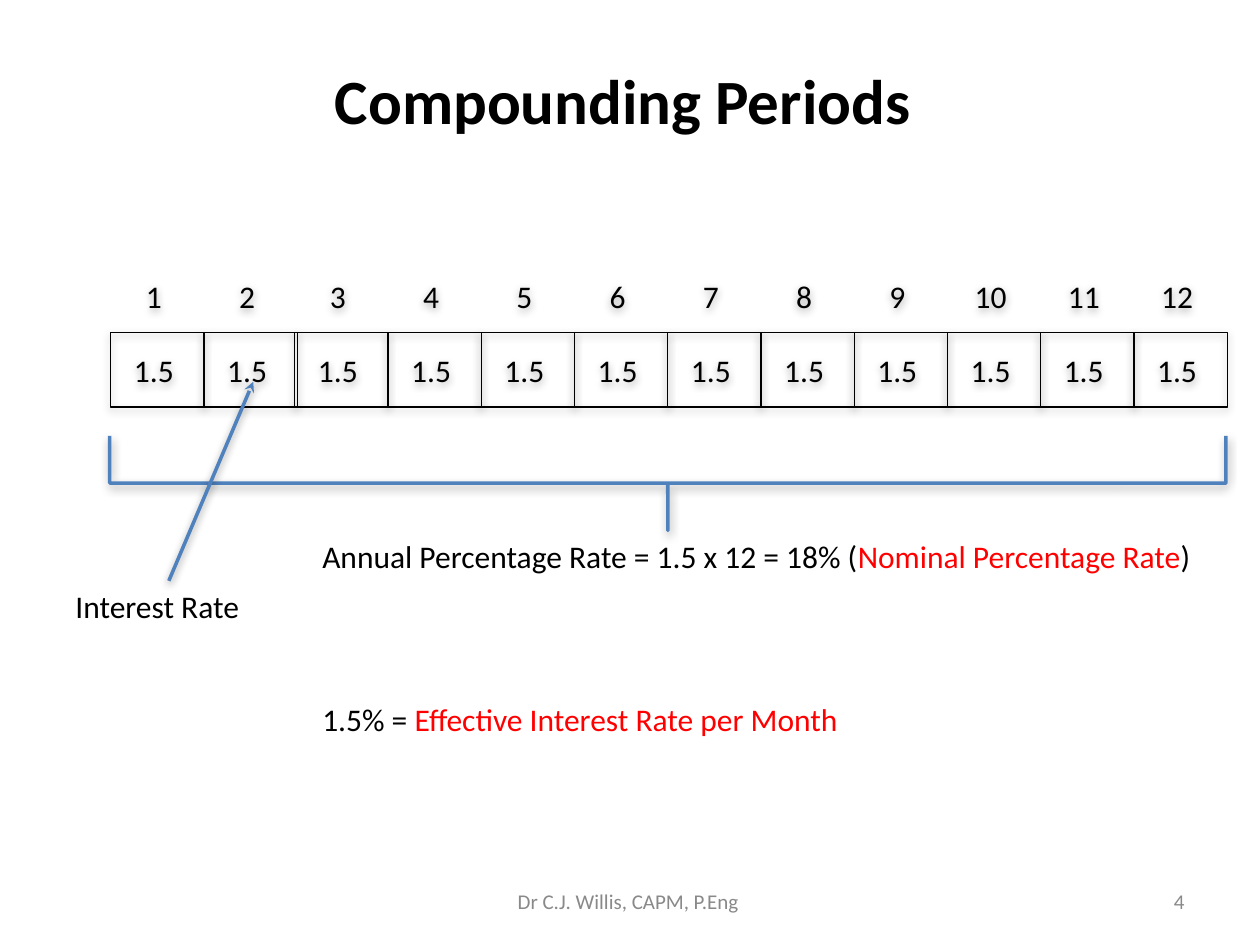
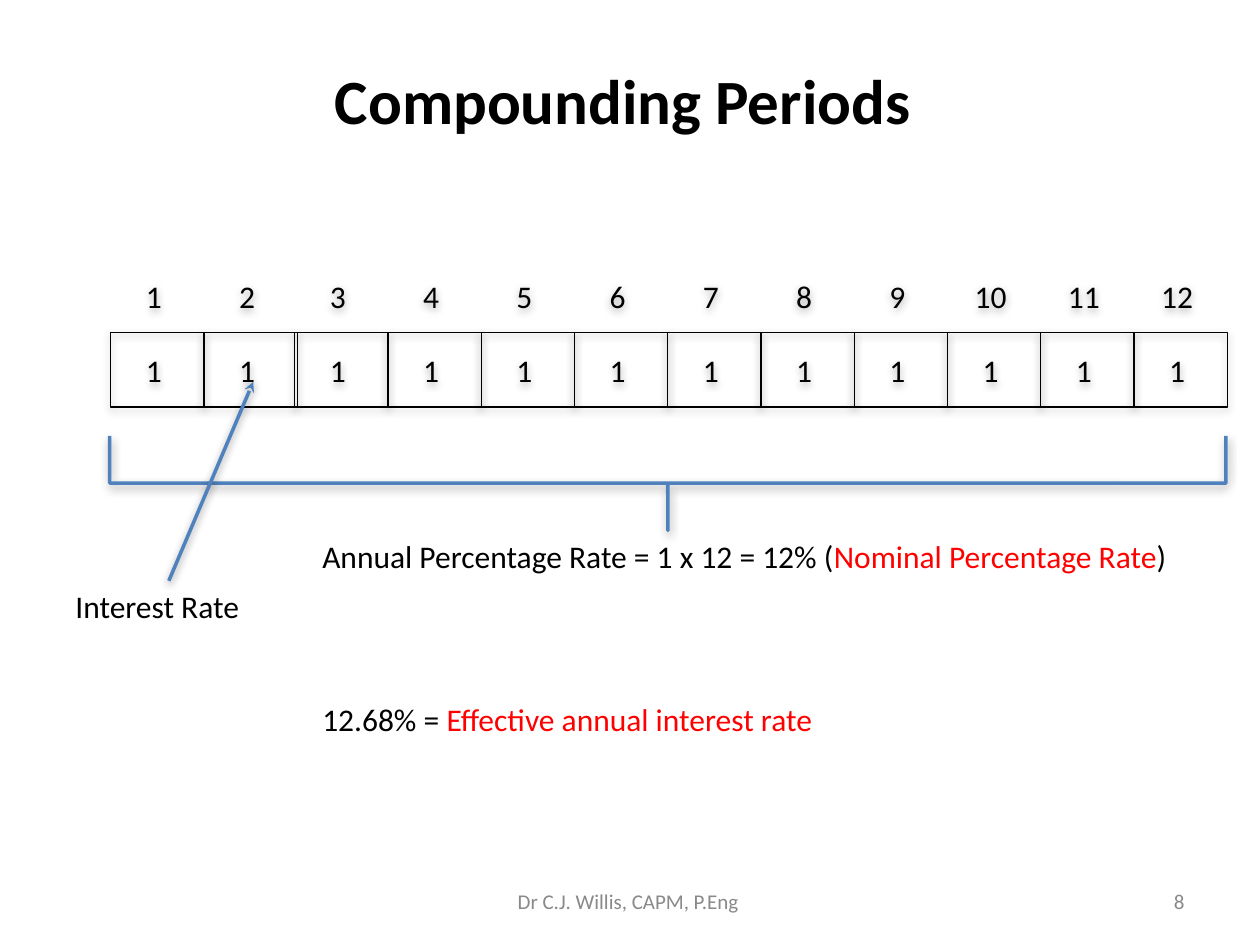
import pptx
import pptx.util
import pptx.dml.color
import pptx.enum.dml
import pptx.enum.shapes
import pptx.enum.text
import pptx.oxml
import pptx.oxml.ns

Inches = pptx.util.Inches
Pt = pptx.util.Pt
SHAPES = pptx.enum.shapes.MSO_SHAPE
ALIGN = pptx.enum.text.PP_ALIGN
ANCHOR = pptx.enum.text.MSO_ANCHOR

BLACK, RED, BLUE, GRAY = "000000", "FF0000", "4F81BD", "898989"
TITLE = {"size": Pt(36), "bold": True}
BODY = {"size": Pt(18)}
FOOTER = {"size": Pt(12)}
PERIODS = 12
PERIOD_WIDTH, PERIOD_HEIGHT = 0.74, 0.59
SEAM_OVERLAP = 0.02

SLIDES = [
    {
        "number": "4",
        "rate": "1.5 ",
        "annual": ("Annual Percentage Rate = 1.5 x 12 = 18% (", 7.16),
        "effective": ("1.5% = ", "Effective Interest Rate per Month", 4.34),
    },
    {
        "number": "8",
        "rate": "1 ",
        "annual": ("Annual Percentage Rate = 1 x 12 = 12% (", 6.97),
        "effective": ("12.68% = ", "Effective annual interest rate", 4.13),
    },
]


def color(hex_value):
    return pptx.dml.color.RGBColor.from_string(hex_value)


def set_values(target, values):
    for name, value in values.items():
        setattr(target, name, value)


def cast_shadow(shape, opacity, distance):
    shape._element.spPr.append(pptx.oxml.parse_xml(
        f'<a:effectLst {pptx.oxml.ns.nsdecls("a")}>'
        f'<a:outerShdw blurRad="{Pt(5)}" dist="{Pt(distance)}" dir="5400000" rotWithShape="0">'
        f'<a:srgbClr val="{BLACK}"><a:alpha val="{opacity * 1000}"/></a:srgbClr>'
        '</a:outerShdw></a:effectLst>'))


def draw_line(shape, hex_value, width):
    shape.line.fill.solid()
    shape.line.color.rgb = color(hex_value)
    shape.line.width = Pt(width)


def write(shape, runs, font, align=ALIGN.LEFT, anchor=ANCHOR.MIDDLE, wrap=True):
    frame = shape.text_frame
    set_values(frame, {"word_wrap": wrap, "vertical_anchor": anchor})
    paragraph = frame.paragraphs[0]
    paragraph.alignment = align
    for text, hex_value in runs:
        run = paragraph.add_run()
        run.text = text
        set_values(run.font, {"name": "Calibri", **font})
        run.font.color.rgb = color(hex_value)


def add_text(slide, box, runs, font, **layout):
    text = slide.shapes.add_textbox(*map(Inches, box))
    write(text, runs, font, **layout)
    return text


def add_note(slide, left, top, width, *runs):
    add_text(slide, (left, top, width, 0.4), runs, BODY, anchor=ANCHOR.TOP, wrap=False)


def add_frame(slide, number):
    add_text(slide, (0.5, 0.3, 9, 0.97), [("Compounding Periods ", BLACK)], TITLE, align=ALIGN.CENTER)
    add_text(slide, (7.17, 6.95, 2.33, 0.4), [(number, GRAY)], FOOTER, align=ALIGN.RIGHT)
    add_text(slide, (3.42, 6.95, 3.17, 0.4), [("Dr C.J. Willis, CAPM, P.Eng ", GRAY)],
             FOOTER, align=ALIGN.CENTER)


def add_timeline(slide, left, top, rate):
    for period in range(PERIODS):
        x = left + period * PERIOD_WIDTH - (SEAM_OVERLAP if period >= 2 else 0)
        label = add_text(slide, (x, top, PERIOD_WIDTH, PERIOD_HEIGHT),
                         [(f"{period + 1} ", BLACK)], BODY, align=ALIGN.CENTER)
        cell = slide.shapes.add_shape(SHAPES.RECTANGLE, Inches(x), Inches(top + PERIOD_HEIGHT),
                                      Inches(PERIOD_WIDTH), Inches(PERIOD_HEIGHT))
        cell.fill.background()
        draw_line(cell, BLACK, 0.75)
        write(cell, [(rate, BLACK)], BODY, align=ALIGN.CENTER)
        for part in (label, cell):
            cast_shadow(part, 35, 1.8)


def add_year_brace(slide, left, top, width, height):
    brace = slide.shapes.add_shape(
        SHAPES.RIGHT_BRACE, Inches(left + (width - height) / 2), Inches(top + (height - width) / 2),
        Inches(height), Inches(width))
    brace.rotation = 90
    brace.adjustments[0] = 0.001
    brace.adjustments[1] = 0.5
    brace.fill.background()
    draw_line(brace, BLUE, 2)
    cast_shadow(brace, 38, 1.6)


def add_rate_pointer(slide, left, top):
    add_note(slide, left, top, 1.51, ("Interest Rate", BLACK))
    arrow = slide.shapes.add_connector(
        pptx.enum.shapes.MSO_CONNECTOR.STRAIGHT, Inches(left + 0.84), Inches(top),
        Inches(left + 1.51), Inches(top - 1.58))
    draw_line(arrow, BLUE, 2)
    arrow.line._get_or_add_ln().append(pptx.oxml.parse_xml(
        f'<a:tailEnd {pptx.oxml.ns.nsdecls("a")} type="stealth"/>'))
    cast_shadow(arrow, 38, 1.6)


def add_results(slide, left, top, annual, effective):
    formula, annual_width = annual
    value, meaning, effective_width = effective
    add_note(slide, left, top, annual_width,
             (formula, BLACK), ("Nominal Percentage Rate", RED), (")", BLACK))
    add_note(slide, left, top + 1.3, effective_width, (value, BLACK), (meaning, RED))


def build_periods_slide(deck, content):
    slide = deck.slides.add_slide(deck.slide_layouts[6])
    add_frame(slide, content["number"])
    add_timeline(slide, 0.88, 2.05, content["rate"])
    add_year_brace(slide, 0.87, 3.46, 8.86, 0.75)
    add_results(slide, 2.46, 4.21, content["annual"], content["effective"])
    add_rate_pointer(slide, 0.5, 4.61)


def main():
    deck = pptx.Presentation()
    set_values(deck, {"slide_width": Inches(10), "slide_height": Inches(7.5)})
    for content in SLIDES:
        build_periods_slide(deck, content)
    deck.save("out.pptx")


if __name__ == "__main__":
    main()
